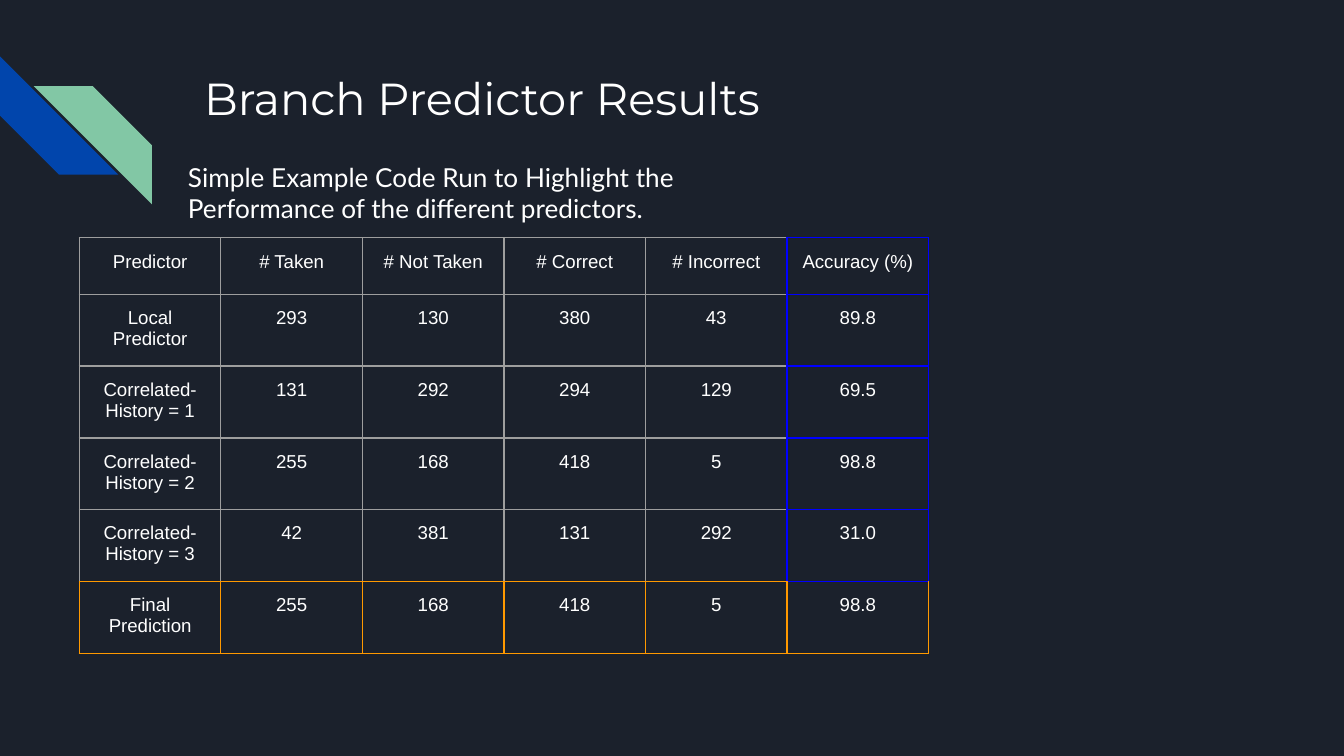
"""Build the branch predictor results slide."""
import lxml.etree
import pptx
import pptx.dml.color
import pptx.enum.shapes
import pptx.enum.text
import pptx.oxml.ns
import pptx.util

Inches = pptx.util.Inches
Pt = pptx.util.Pt
RGBColor = pptx.dml.color.RGBColor
qn = pptx.oxml.ns.qn

BACKGROUND = RGBColor(0x1B, 0x21, 0x2C)
WHITE = RGBColor(0xFF, 0xFF, 0xFF)
STRIPE_BLUE = RGBColor(0x01, 0x45, 0xAC)
STRIPE_GREEN = RGBColor(0x82, 0xC7, 0xA5)
GREY = RGBColor(0x9E, 0x9E, 0x9E)
BLUE = RGBColor(0x00, 0x00, 0xFF)
ORANGE = RGBColor(0xFF, 0x99, 0x00)

TITLE = "Branch Predictor Results"
SUBTITLE = "Simple Example Code Run to Highlight the Performance of the different predictors."
RESULTS = [
    ("Predictor", "# Taken", "# Not Taken", "# Correct", "# Incorrect", "Accuracy (%)"),
    ("Local Predictor", "293", "130", "380", "43", "89.8"),
    ("Correlated- History = 1", "131", "292", "294", "129", "69.5"),
    ("Correlated- History = 2", "255", "168", "418", "5", "98.8"),
    ("Correlated- History = 3", "42", "381", "131", "292", "31.0"),
    ("Final Prediction", "255", "168", "418", "5", "98.8"),
]
TEXTS = [
    (TITLE, (1.42, 0.43, 7.7, 1), "Montserrat", 24),
    (SUBTITLE, (1.3, 1.1, 4.49, 0.67), "Lato", 14),
]
STRIPES = [
    (0, 0.42, STRIPE_BLUE, 270, False),
    (0.25, 0.64, STRIPE_GREEN, 0, True),
]
STRIPE_SIZE = 0.88
TABLE_WIDTH = 6.32
ROW_HEIGHT = 0.42
NO_TABLE_STYLE = "{2D5ABB26-0587-4C30-8999-92F81FD0307C}"
LAST_ROW = len(RESULTS) - 1
LAST_COLUMN = len(RESULTS[0]) - 1


def set_font(paragraph, name, size):
    paragraph.font.name = name
    paragraph.font.size = Pt(size)
    paragraph.font.color.rgb = WHITE


def set_margins(target):
    target.margin_left = target.margin_right = Inches(0.1)
    target.margin_top = target.margin_bottom = Inches(0.1)


def vertical_edge(row, edge):
    if row == LAST_ROW:
        return ORANGE
    return BLUE if edge >= LAST_COLUMN else GREY


def horizontal_edge(edge, column):
    if column == LAST_COLUMN:
        return BLUE if edge <= LAST_ROW else ORANGE
    return ORANGE if edge >= LAST_ROW else GREY


def set_borders(cell, row, column):
    borders = [
        ("a:lnL", vertical_edge(row, column)),
        ("a:lnR", vertical_edge(row, column + 1)),
        ("a:lnT", horizontal_edge(row, column)),
        ("a:lnB", horizontal_edge(row + 1, column)),
    ]
    properties = cell._tc.get_or_add_tcPr()
    for position, (tag, color) in enumerate(borders):
        line = lxml.etree.Element(qn(tag), w=str(Pt(0.75)))
        fill = lxml.etree.SubElement(line, qn("a:solidFill"))
        lxml.etree.SubElement(fill, qn("a:srgbClr"), val=str(color))
        properties.insert(position, line)


def add_stripe(slide, left, top, color, rotation, flipped):
    stripe = slide.shapes.add_shape(
        pptx.enum.shapes.MSO_SHAPE.DIAGONAL_STRIPE,
        Inches(left), Inches(top), Inches(STRIPE_SIZE), Inches(STRIPE_SIZE))
    stripe.shadow.inherit = False
    stripe.fill.solid()
    stripe.fill.fore_color.rgb = color
    stripe.line.fill.background()
    stripe.rotation = rotation
    if flipped:
        stripe._element.spPr.find(qn("a:xfrm")).set("flipH", "1")


def add_text(slide, text, box, font, size):
    frame = slide.shapes.add_textbox(*map(Inches, box)).text_frame
    frame.word_wrap = True
    set_margins(frame)
    frame.text = text
    set_font(frame.paragraphs[0], font, size)


def add_results(slide):
    table = slide.shapes.add_table(
        len(RESULTS), len(RESULTS[0]), Inches(0.59), Inches(1.77),
        Inches(TABLE_WIDTH), Inches(ROW_HEIGHT * len(RESULTS))).table
    table.first_row = table.horz_banding = False
    table._tbl.tblPr.find(qn("a:tableStyleId")).text = NO_TABLE_STYLE
    for row, values in enumerate(RESULTS):
        table.rows[row].height = Inches(ROW_HEIGHT)
        for column, value in enumerate(values):
            cell = table.cell(row, column)
            cell.text = value
            cell.fill.background()
            set_margins(cell)
            set_borders(cell, row, column)
            paragraph = cell.text_frame.paragraphs[0]
            paragraph.alignment = pptx.enum.text.PP_ALIGN.CENTER
            set_font(paragraph, "Arial", 10)


presentation = pptx.Presentation()
presentation.slide_width = Inches(10)
presentation.slide_height = Inches(10) * 9 // 16
slide = presentation.slides.add_slide(presentation.slide_layouts[6])
slide.background.fill.solid()
slide.background.fill.fore_color.rgb = BACKGROUND
for stripe in STRIPES:
    add_stripe(slide, *stripe)
for text in TEXTS[:1]:
    add_text(slide, *text)
add_results(slide)
for text in TEXTS[1:]:
    add_text(slide, *text)
presentation.save("out.pptx")
